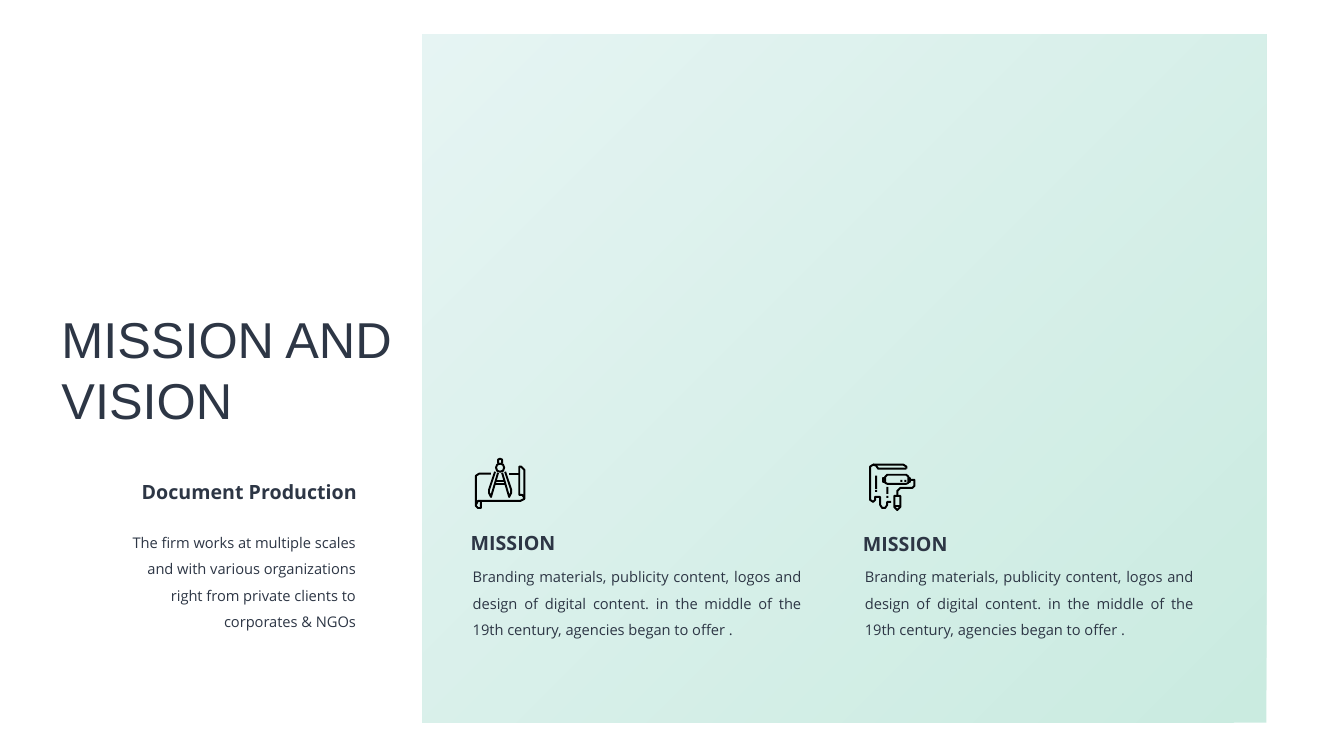
from pptx import Presentation
from pptx.dml.color import RGBColor
from pptx.enum.shapes import MSO_SHAPE as Shape
from pptx.enum.text import MSO_ANCHOR as Anchor, MSO_AUTO_SIZE as AutoSize, PP_ALIGN as Align
from pptx.oxml.ns import qn
from pptx.util import Pt
from lxml import etree

PX = 9144  # 100 px to the inch
INK = "2D3645"
BLACK = "000000"
COLUMN_STEP = 389

HEADING = {"size": Pt(14), "bold": True, "name": "Open Sans"}
BODY = {"size": Pt(10.5), "bold": False, "name": "Open Sans"}
TITLE = {"size": Pt(36), "bold": False, "name": "Arial"}

MISSION_TEXT = ("Branding materials, publicity content, logos and design of digital "
                "content. in the middle of the 19th century, agencies began to offer .")
FIRM_TEXT = ("The firm works at multiple scales and with various organizations "
             "right from private clients to corporates & NGOs")

# Icon strokes: each list of points is one pen stroke.
SCROLL = [
    [(487, 470), (475, 470), (472, 472), (472, 502), (474, 504), (477, 504),
     (477, 497), (516, 497), (520, 495), (520, 466), (517, 463), (515, 463),
     (515, 491), (518, 491), (520, 494)],
    [(505, 470), (515, 470)],
    [(472, 501), (474, 497), (477, 497)],
]
COMPASS = [
    [(492, 464), (493, 461), (496, 460), (499, 461), (500, 464), (499, 467),
     (496, 468), (493, 467), (492, 464)],
    [(494, 460), (494, 556 - 100), (496, 455), (498, 456), (498, 460)],
    [(491, 468), (485, 486), (485, 489), (487, 493), (494, 469)],
    [(501, 468), (507, 486), (507, 489), (505, 493), (498, 469)],
    [(492, 477), (500, 477)],
    [(491, 480), (501, 480)],
]
PAINTED_SHEET = [
    [(899, 465), (871, 465), (869, 462), (866, 461), (863, 463), (863, 496),
     (866, 498), (868, 496), (868, 493), (873, 493), (873, 501), (875, 504),
     (878, 504), (880, 501), (880, 498), (884, 498)],
    [(866, 461), (896, 461), (899, 463), (899, 465)],
]
ROLLER = [
    [(880, 471), (899, 471), (901, 473), (901, 479), (899, 480), (880, 480),
     (878, 479), (878, 473), (880, 471)],
    [(878, 474), (876, 474), (876, 478), (878, 478)],
    [(901, 474), (903, 474), (903, 478), (901, 478)],
    [(903, 476), (907, 476), (907, 482), (905, 484), (893, 484), (890, 487), (890, 492)],
    [(887, 492), (893, 492), (893, 503), (890, 506), (887, 503), (887, 492)],
    [(887, 502), (893, 502)],
]
PAINT_DRIPS = [(868, 472, 2, 13), (879, 483, 2, 7), (868, 486, 2, 2),
               (879, 492, 2, 2), (893, 476, 2, 2), (897, 476, 2, 2)]


def color(value):
    return RGBColor.from_string(value)


def emu(*lengths):
    return [length * PX for length in lengths]


def write(shape, text, style, align=Align.LEFT, spacing=1.5):
    frame = shape.text_frame
    frame.word_wrap = True
    frame.auto_size = AutoSize.NONE
    frame.vertical_anchor = Anchor.TOP
    para = frame.paragraphs[0]
    para.alignment = align
    para.line_spacing = spacing
    span = para.add_run()
    span.text = text
    for name, value in style.items():
        setattr(span.font, name, value)
    span.font.color.rgb = color(INK)


def add_text(shapes, box, text, style, align=Align.LEFT):
    write(shapes.add_textbox(*emu(*box)), text, style, align)


def add_title(page, box, text):
    title = page.shapes.title
    title.left, title.top, title.width, title.height = emu(*box)
    write(title, text, TITLE, spacing=1.0)


def add_strokes(shapes, strokes):
    """Draw the pen strokes as one unfilled outline."""
    builder = shapes.build_freeform(*strokes[0][0], scale=PX)
    for stroke in strokes:
        builder.move_to(*stroke[0])
        builder.add_line_segments(stroke[1:], close=False)
    outline = builder.convert_to_shape()
    outline.shadow.inherit = False
    outline.fill.background()
    outline.line.color.rgb = color(BLACK)
    outline.line.width = Pt(1.4)


def add_block(shapes, box):
    block = shapes.add_shape(Shape.RECTANGLE, *emu(*box))
    block.shadow.inherit = False
    block.line.fill.background()
    return block


def add_gradient_panel(page, box, ends, opacity):
    panel = add_block(page.shapes, box)
    panel.rotation = 90
    panel.fill.gradient()
    panel.fill.gradient_angle = 225
    for stop, end, position in zip(panel.fill.gradient_stops, ends, (0, 1)):
        stop.color.rgb = color(end)
        stop.position = position
    for stop_color in panel._element.spPr.iter(qn("a:srgbClr")):
        etree.SubElement(stop_color, qn("a:alpha")).set("val", str(opacity * 1000))


def add_mission(page, column, icon, dots=(), heading_top=510):
    shapes = page.shapes.add_group_shape().shapes
    for strokes in icon:
        add_strokes(shapes, strokes)
    for dot in dots:
        fill = add_block(shapes, dot).fill
        fill.solid()
        fill.fore_color.rgb = color(BLACK)
    shift = column * COLUMN_STEP
    add_text(shapes, (459 + shift, 550, 346, 87), MISSION_TEXT, BODY, Align.JUSTIFY)
    add_text(shapes, (457 + shift, heading_top, 250, 42), "MISSION", HEADING)


def main():
    deck = Presentation()
    deck.slide_width, deck.slide_height = emu(1333, 750)
    page = deck.slides.add_slide(deck.slide_layouts[5])
    add_gradient_panel(page, (496, -43, 683, 837), ("50BE99", "ADDDDA"), 30)
    add_title(page, (51, 301, 436, 131), "MISSION AND VISION")
    add_mission(page, 0, (SCROLL, COMPASS))
    add_mission(page, 1, (PAINTED_SHEET, ROLLER), PAINT_DRIPS, heading_top=511)
    add_text(page.shapes, (116, 516, 247, 113), FIRM_TEXT, BODY, Align.RIGHT)
    add_text(page.shapes, (114, 460, 250, 42), "Document Production", HEADING, Align.RIGHT)
    deck.save("out.pptx")


if __name__ == "__main__":
    main()
